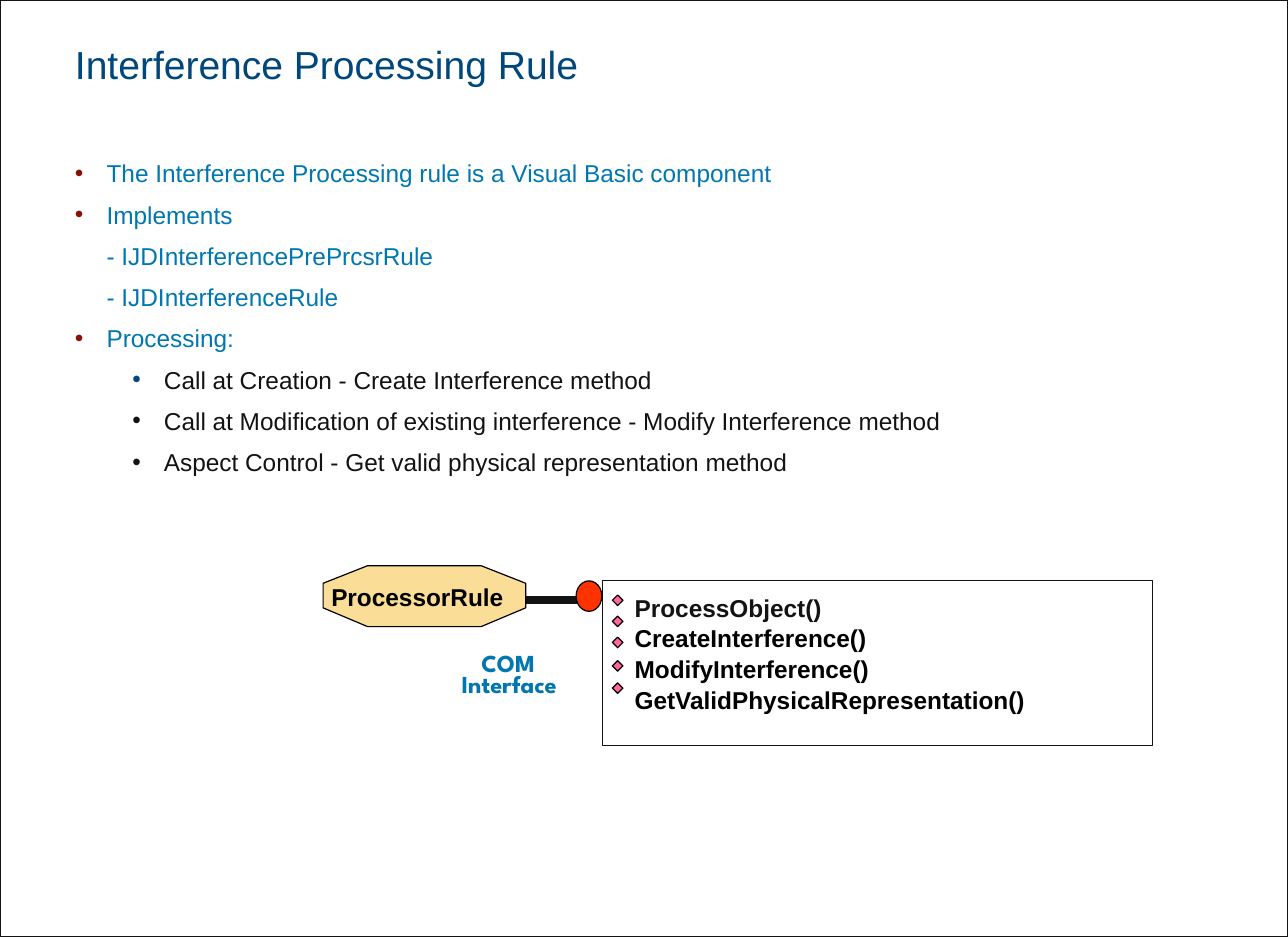
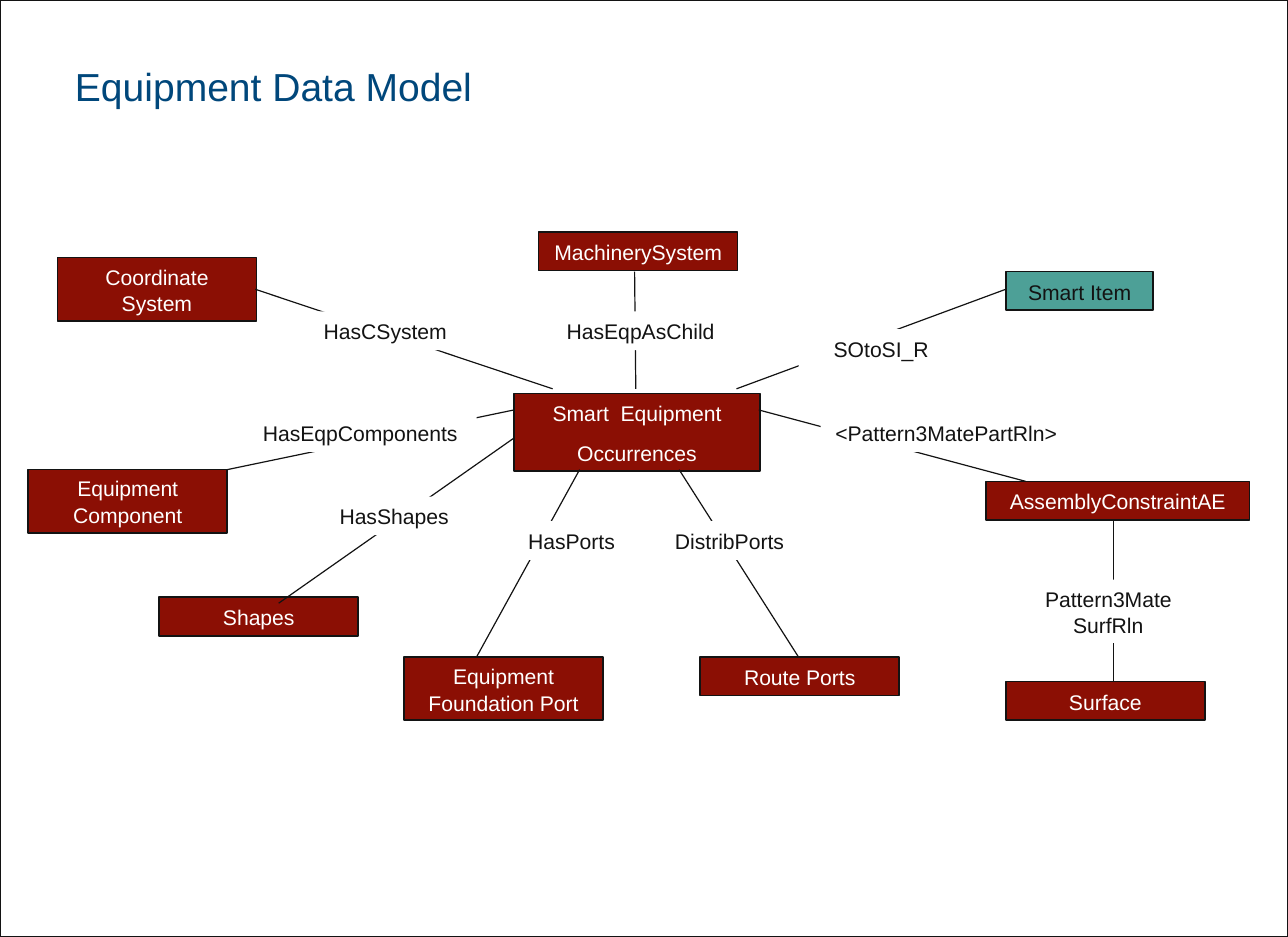
import lxml.etree
import pptx
import pptx.dml.color
import pptx.enum.shapes
import pptx.enum.text
import pptx.oxml.ns
import pptx.util

PIXEL = 9144
SLIDE_SIZE = (1100, 800)
TITLE_AREA = (64, 14, 667, 79)
BODY_AREA = (64, 134, 973, 489)
COLORS = {
    "white": "FFFFFF", "ink": "131313", "black": "000000",
    "title": "00477B", "blue": "0077B0", "navy": "07467F",
    "maroon": "8B0F04", "teal": "4DA097", "sand": "FADE98",
    "red": "FF3300", "pink": "FF6699",
}
ALIGN = pptx.enum.text.PP_ALIGN
ANCHOR = pptx.enum.text.MSO_ANCHOR
SHAPE = pptx.enum.shapes.MSO_SHAPE
TITLE_FONT = {"size": pptx.util.Pt(24), "name": "Arial", "bold": False}
BODY_FONT = {"size": pptx.util.Pt(15), "name": "Arial", "bold": False}
METHOD_FONT = {**BODY_FONT, "bold": True}
COM_FONT = {**METHOD_FONT, "name": "League Spartan"}
NODE_FONT = {**BODY_FONT, "size": pptx.util.Pt(13)}
LINE_SPACING = 1.05

RULE_TITLE = "Interference Processing Rule"
RULE_POINTS = [
    (0, "maroon", "blue", "The Interference Processing rule is a Visual Basic component"),
    (0, "maroon", "blue", "Implements"),
    (0, None, "blue", "- IJDInterferencePrePrcsrRule"),
    (0, None, "blue", "- IJDInterferenceRule"),
    (0, "maroon", "blue", "Processing:"),
    (1, "navy", "ink", "Call at Creation - Create Interference method"),
    (1, "ink", "ink", "Call at Modification of existing interference - Modify Interference method"),
    (1, "ink", "ink", "Aspect Control - Get valid physical representation method"),
]
LEVEL_INDENTS = (27, 76)
BULLET_HANG = 27
METHODS = [
    ("ProcessObject()", "ink"),
    ("CreateInterference()", "black"),
    ("ModifyInterference()", "black"),
    ("GetValidPhysicalRepresentation()", "black"),
]
DIAMOND_TOPS = (508, 526, 544, 564, 583)
OCTAGON = [(314, 483), (276, 498), (276, 519), (314, 535),
           (411, 535), (449, 519), (449, 498), (411, 483)]
CAPTIONS = [
    ("ProcessorRule", (283, 496, 147, 25), METHOD_FONT, "black"),
    ("COM", (409, 552, 50, 25), COM_FONT, "blue"),
    ("Interface", (387, 570, 96, 25), COM_FONT, "blue"),
]

MODEL_TITLE = "Equipment Data Model"
NODES = [
    (["MachinerySystem"], (460, 198, 170, 33)),
    (["Smart  Equipment", "Occurrences"], (439, 336, 210, 66)),
    (["Smart Item"], (859, 232, 126, 33)),
    (["Equipment Component"], (24, 401, 170, 54)),
    (["Equipment Foundation Port"], (345, 561, 170, 54)),
    (["AssemblyConstraintAE"], (842, 411, 225, 33)),
    (["Route Ports"], (598, 561, 170, 33)),
    (["Surface"], (859, 582, 170, 33)),
    (["Shapes"], (136, 510, 170, 33)),
    (["Coordinate System"], (49, 220, 170, 54)),
]
RELATIONS = [
    ("DistribPorts", (682, 561, 580, 401), (563, 445, 120, 33)),
    ("HasEqpAsChild", (542, 232, 543, 332), (461, 266, 172, 33)),
    ("HasPorts", (407, 561, 495, 401), (434, 445, 108, 33)),
    ("HasShapes", (238, 515, 439, 374), (266, 424, 141, 33)),
    ("HasEqpComponents", (194, 401, 439, 350), (208, 353, 199, 33)),
    ("<Pattern3MatePartRln>", (648, 350, 876, 411), (701, 353, 214, 33)),
    ("SOtoSI_R", (859, 247, 629, 332), (682, 281, 141, 33)),
    ("HasCSystem", (472, 332, 218, 247), (252, 266, 154, 33)),
    ("Pattern3MateSurfRln", (951, 445, 951, 582), (876, 495, 141, 54)),
]


def emu(values):
    return [value * PIXEL for value in values]


def rgb(color):
    return pptx.dml.color.RGBColor.from_string(COLORS[color])


def apply(target, formats):
    for name, value in formats.items():
        setattr(target, name, value)


def place(shape, area):
    apply(shape, dict(zip(("left", "top", "width", "height"), emu(area))))


def paint(shape, fill, line="ink", width=0.75):
    shape.shadow.inherit = False
    if fill:
        shape.fill.solid()
        shape.fill.fore_color.rgb = rgb(fill)
    else:
        shape.fill.background()
    if line:
        shape.line.color.rgb = rgb(line)
        shape.line.width = pptx.util.Pt(width)
    else:
        shape.line.fill.background()


def add_box(slide, kind, area, fill, line="ink", width=0.75):
    shape = slide.shapes.add_shape(kind, *emu(area))
    paint(shape, fill, line, width)
    return shape


def set_frame(frame, anchor=ANCHOR.TOP, wrap=True, inset=(0, 0)):
    horizontal, vertical = emu(inset)
    apply(frame, {
        "word_wrap": wrap, "vertical_anchor": anchor,
        "auto_size": pptx.enum.text.MSO_AUTO_SIZE.NONE,
        "margin_left": horizontal, "margin_right": horizontal,
        "margin_top": vertical, "margin_bottom": vertical,
    })


def write(frame, lines, font, align=ALIGN.LEFT, gap=0):
    for index, (text, color) in enumerate(lines):
        paragraph = frame.add_paragraph() if index else frame.paragraphs[0]
        apply(paragraph, {
            "alignment": align, "line_spacing": LINE_SPACING,
            "space_before": pptx.util.Pt(gap if index else 0),
        })
        run = paragraph.add_run()
        run.text = text
        apply(run.font, font)
        run.font.color.rgb = rgb(color)


def set_bullet(paragraph, level, color):
    properties = paragraph._p.get_or_add_pPr()
    properties.set("marL", str(LEVEL_INDENTS[level] * PIXEL))
    properties.set("indent", str(-BULLET_HANG * PIXEL if color else 0))

    def add(parent, tag, **attributes):
        return lxml.etree.SubElement(parent, pptx.oxml.ns.qn(tag), attributes)

    if color:
        add(add(properties, "a:buClr"), "a:srgbClr", val=COLORS[color])
        add(properties, "a:buChar", char="•")
    else:
        add(properties, "a:buNone")


def add_slide(presentation, layout, title, anchor):
    slide = presentation.slides.add_slide(presentation.slide_layouts[layout])
    add_box(slide, SHAPE.RECTANGLE, (0, 0, *SLIDE_SIZE), None)
    place(slide.shapes.title, TITLE_AREA)
    frame = slide.shapes.title.text_frame
    set_frame(frame, anchor)
    write(frame, [(title, "title")], TITLE_FONT)
    return slide


def build_rule_slide(presentation):
    slide = add_slide(presentation, 1, RULE_TITLE, ANCHOR.MIDDLE)
    body = slide.placeholders[1]
    place(body, BODY_AREA)
    set_frame(body.text_frame)
    write(body.text_frame, [(text, color) for _, _, color, text in RULE_POINTS], BODY_FONT)
    for paragraph, (level, bullet, _, _) in zip(body.text_frame.paragraphs, RULE_POINTS):
        set_bullet(paragraph, level, bullet)
        apply(paragraph, {"level": level, "space_after": pptx.util.Pt(6.5)})

    add_box(slide, SHAPE.RECTANGLE, (514, 495, 470, 141), "white", width=0.25)
    method_list = slide.shapes.add_textbox(*emu((542, 505, 346, 100)))
    set_frame(method_list.text_frame)
    write(method_list.text_frame, METHODS, METHOD_FONT)
    for top in DIAMOND_TOPS:
        add_box(slide, SHAPE.DIAMOND, (523, top, 9, 9), "pink", "black")

    add_box(slide, SHAPE.RECTANGLE, (395, 509, 108, 6), "ink")
    add_box(slide, SHAPE.OVAL, (492, 496, 22, 26), "red", "black")
    builder = slide.shapes.build_freeform(*OCTAGON[0], scale=PIXEL)
    builder.add_line_segments(OCTAGON[1:], close=True)
    paint(builder.convert_to_shape(), "sand", "black")
    for text, area, font, color in CAPTIONS:
        caption = slide.shapes.add_textbox(*emu(area))
        set_frame(caption.text_frame, wrap=False)
        write(caption.text_frame, [(text, color)], font, ALIGN.CENTER)


def add_node(slide, lines, area, fill, color, line="ink"):
    node = add_box(slide, SHAPE.RECTANGLE, area, fill, line, 1)
    set_frame(node.text_frame, ANCHOR.MIDDLE, inset=(11, 5))
    write(node.text_frame, [(text, color) for text in lines], NODE_FONT, ALIGN.CENTER, 8.1)


def add_link(slide, ends):
    link = slide.shapes.add_connector(pptx.enum.shapes.MSO_CONNECTOR.STRAIGHT, *emu(ends))
    link.line.color.rgb = rgb("ink")
    link.line.width = pptx.util.Pt(0.75)
    lxml.etree.SubElement(link._element.spPr, pptx.oxml.ns.qn("a:effectLst"))


def build_model_slide(presentation):
    slide = add_slide(presentation, 5, MODEL_TITLE, ANCHOR.BOTTOM)
    for lines, area in NODES:
        fill, color = ("teal", "ink") if lines == ["Smart Item"] else ("maroon", "white")
        add_node(slide, lines, area, fill, color)
    for text, ends, area in RELATIONS:
        add_link(slide, ends)
        add_node(slide, [text], area, "white", "ink", None)


def main():
    presentation = pptx.Presentation()
    apply(presentation, dict(zip(("slide_width", "slide_height"), emu(SLIDE_SIZE))))
    background = presentation.slide_master.background.fill
    background.solid()
    background.fore_color.rgb = rgb("white")
    build_rule_slide(presentation)
    build_model_slide(presentation)
    presentation.save("out.pptx")


if __name__ == "__main__":
    main()
